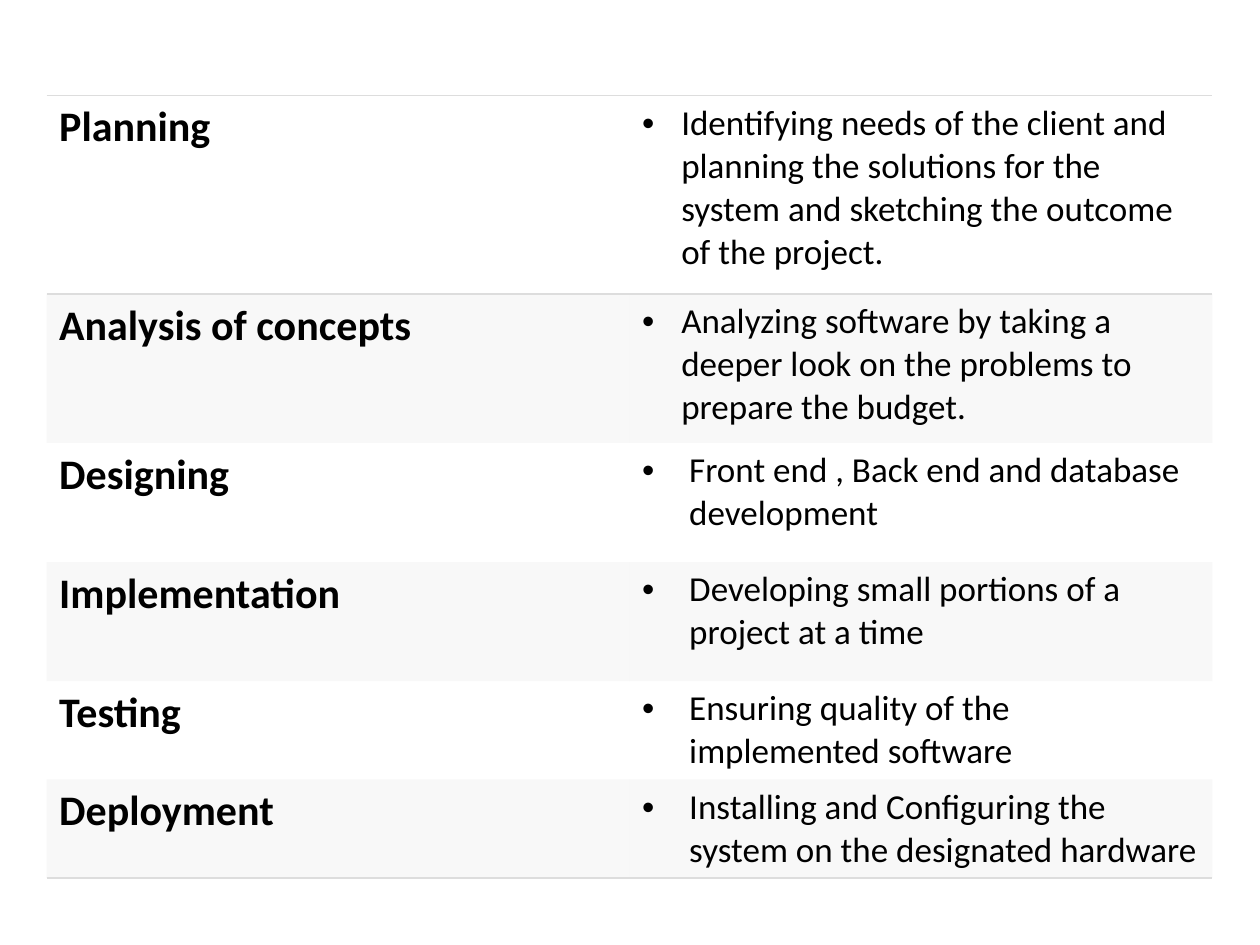
"""Build a slide with a table of software development phases."""
from dataclasses import dataclass

from lxml.etree import SubElement
from pptx import Presentation
from pptx.dml.color import RGBColor
from pptx.oxml.ns import qn
from pptx.table import _Cell
from pptx.util import Cm, Pt


@dataclass(frozen=True)
class Theme:
    font: str = "Calibri"
    text: str = "000000"
    grey: str = "DDDDDD"
    band_alpha: int = 20
    name_size: int = 24
    detail_size: int = 20
    rule_width: int = 1
    table_style: str = "{2D5ABB26-0587-4C30-8999-92F81FD0307C}"


@dataclass(frozen=True)
class Phase:
    name: str
    detail: str
    height: float
    indent: float = 0.95
    rules: tuple[str, ...] = ()


THEME = Theme()
LEFT, TOP, COL_WIDTH = 0.94, 1.93, 11.75
PHASES = [
    Phase("Planning",
          "Identifying needs of the client and planning the solutions for the "
          "system and sketching the outcome of the project.",
          4, 0.79, ("lnT", "lnB")),
    Phase("Analysis of concepts",
          "Analyzing software by taking a deeper look on the problems to "
          "prepare the budget.", 3, 0.79),
    Phase("Designing", "Front end , Back end and database development", 2.4),
    Phase("Implementation", "Developing small portions of a project at a time", 2.4),
    Phase("Testing", "Ensuring quality of the implemented software", 1.7),
    Phase("Deployment",
          "Installing and Configuring the system on the designated hardware",
          1.8, rules=("lnB",)),
]


def style_cell(cell: _Cell, rules: tuple[str, ...], banded: bool) -> None:
    """Draw the cell's horizontal rules and its band."""
    tc_pr = cell._tc.get_or_add_tcPr()
    for tag in rules:
        ln = SubElement(tc_pr, qn(f"a:{tag}"), w=str(Pt(THEME.rule_width)))
        SubElement(SubElement(ln, qn("a:solidFill")), qn("a:srgbClr"), val=THEME.grey)
    if not banded:
        cell.fill.background()
        return
    cell.fill.solid()
    cell.fill.fore_color.rgb = RGBColor.from_string(THEME.grey)
    clr = tc_pr.find(f"{qn('a:solidFill')}/{qn('a:srgbClr')}")
    SubElement(clr, qn("a:alpha"), val=str(THEME.band_alpha * 1000))


def write_cell(cell: _Cell, text: str, size: int, bold: bool, indent: float = 0) -> None:
    """Write one paragraph, bulleted when it has an indent."""
    p = cell.text_frame.paragraphs[0]
    p.text = text
    if indent:
        p_pr = p._p.get_or_add_pPr()
        p_pr.set("marL", str(Cm(indent)))
        p_pr.set("indent", str(-Cm(indent)))
        SubElement(p_pr, qn("a:buFont"), typeface="Arial")
        SubElement(p_pr, qn("a:buChar"), char="•")
    p.font.name = THEME.font
    p.font.size = Pt(size)
    p.font.bold = bold
    p.font.color.rgb = RGBColor.from_string(THEME.text)


def add_phases(s, phases: list[Phase]) -> None:
    """Add the table with one row per phase."""
    height = sum(phase.height for phase in phases)
    tbl = s.shapes.add_table(len(phases), 2, Cm(LEFT), Cm(TOP),
                             Cm(2 * COL_WIDTH), Cm(height)).table
    tbl.first_row = tbl.horz_banding = False
    tbl._tbl.tblPr.find(qn("a:tableStyleId")).text = THEME.table_style
    for i, (row, phase) in enumerate(zip(tbl.rows, phases)):
        row.height = Cm(phase.height)
        name, detail = row.cells
        write_cell(name, phase.name, THEME.name_size, True)
        write_cell(detail, phase.detail, THEME.detail_size, False, phase.indent)
        for cell in (name, detail):
            style_cell(cell, phase.rules, banded=i % 2 == 1)


def main() -> None:
    """Build and save the slide."""
    prs = Presentation()
    prs.slide_width, prs.slide_height = Cm(25.4), Cm(19.05)
    s = prs.slides.add_slide(prs.slide_layouts[6])
    add_phases(s, PHASES)
    prs.save("out.pptx")


if __name__ == "__main__":
    main()
